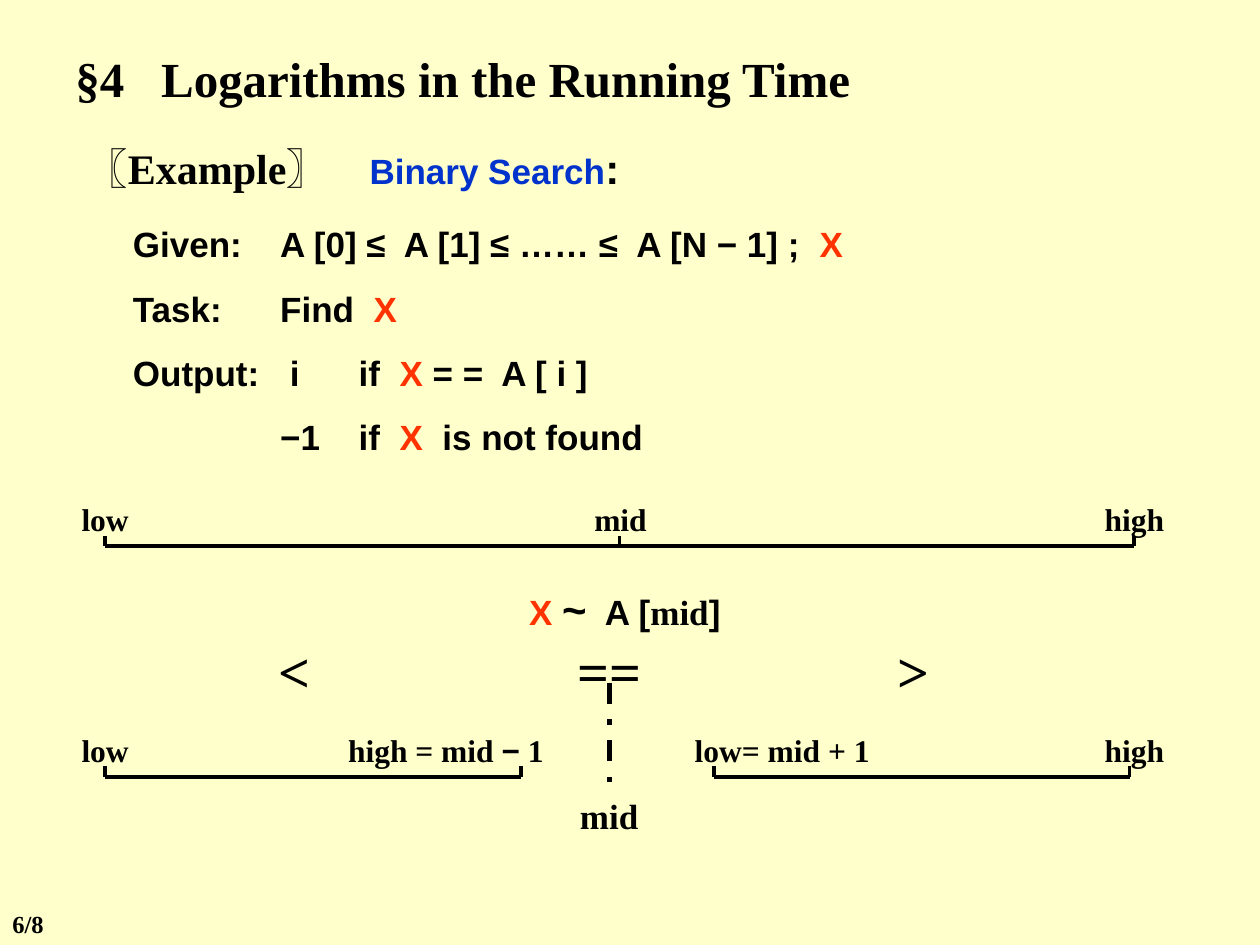
import pptx
import pptx.util
import pptx.dml.color
import pptx.enum.dml
import pptx.enum.shapes
import pptx.enum.text
import pptx.oxml.ns
from lxml import etree

Cm, Pt = pptx.util.Cm, pptx.util.Pt
HUE = {"paper": "FFFFCC", "ink": "000000", "blue": "0033CC", "red": "FF3300"}
SERIF, SANS = "Times New Roman", "Arial"
TICK, RISE = 0.21, 1.06  # tick height, label offset above a scale


def sans(text, hue="ink", size=20):
    """Describe a run in the sans font."""
    return text, size, SANS, hue


def serif(text, size=18):
    """Describe a black run in the serif font."""
    return text, size, SERIF, "ink"


X = sans("X", "red")
STOPS = [0.95, 3.92, 5.5]
# Each paragraph: tab stops in cm, runs
TITLE = [([1.73], [serif("§4\tLogarithms in the Running Time", 28)])]
BODY = [
    ([5.72], [serif("〖Example〗\t", 24), sans("Binary Search", "blue"),
              sans(":", size=24)]),
    (STOPS, [sans("\t", size=24),
             sans("Given:\tA [0] ≤  A [1] ≤ …… ≤  A [N − 1] ;  "), X]),
    (STOPS, [sans("\tTask:\tFind  "), X]),
    (STOPS, [sans("\tOutput:\t i\tif  "), X, sans(" = =  A [ i ]")]),
    (STOPS, [sans("\t\t−1\tif  "), X, sans("  is not found")]),
]
# Left-aligned text: left, top, width, height, paragraphs
BLOCKS = [
    (1.27, 0.85, 18.2, 1.44, TITLE),
    (1.48, 2.75, 16.7, 6.6, BODY),
    (0, 18.2, 1.48, 0.85, [([], [serif("6/8", 14)])]),
]
# Centred text: left, top, width, height, runs
LABELS = [
    (7.83, 11.64, 9.53, 1.27, [sans("X ", "red"), sans("~", size=24),
                               sans("  A ["), serif("mid", 20), sans("]")]),
    (4.66, 12.7, 2.54, 1.63, [serif("<", 32)]),
    (11.01, 12.7, 2.54, 1.63, [serif("==", 32)]),
    (17.15, 12.7, 2.54, 1.63, [serif(">", 32)]),
    (11.01, 15.88, 2.54, 1.11, [serif("mid", 20)]),
]
LOW = (1.27, 1.7, [serif("low")])
HIGH = (22.02, 1.7, [serif("high")])
# Each scale: y, tick positions, labels (left, width, runs)
SCALES = [
    (11.01, [2.12, 12.49, 22.86],
     [LOW, HIGH, (11.56, 1.9, [serif("mid")])]),
    (15.66, [2.12, 10.5],
     [LOW, (6.35, 5.28, [serif("high = mid "), sans("−", size=18),
                         serif(" 1")])]),
    (15.66, [14.39, 22.77],
     [HIGH, (13.13, 5.28, [serif("low= mid + 1")])]),
]


def paint(hue):
    """Turn a colour name into an RGB value."""
    return pptx.dml.color.RGBColor.from_string(HUE[hue])


def set_tabs(para, stops):
    """Give a paragraph left tab stops, in cm."""
    tag = pptx.oxml.ns.qn
    tabs = etree.SubElement(para._p.get_or_add_pPr(), tag("a:tabLst"))
    for stop in stops:
        etree.SubElement(tabs, tag("a:tab"), pos=str(int(Cm(stop))), algn="l")


def add_text(parent, left, top, width, height, paras, center=False):
    """Add a text box run by run."""
    box = parent.add_textbox(Cm(left), Cm(top), Cm(width), Cm(height))
    frame = box.text_frame
    frame.word_wrap = True
    frame.margin_left = frame.margin_right = Cm(0 if center else 0.25)
    frame.margin_top = frame.margin_bottom = Cm(0.13)
    for i, (stops, runs) in enumerate(paras):
        para = frame.add_paragraph() if i else frame.paragraphs[0]
        if center:
            para.alignment = pptx.enum.text.PP_ALIGN.CENTER
        if i:
            para.space_before = Pt(12.5)
        if stops:
            set_tabs(para, stops)
        for text, size, face, hue in runs:
            run = para.add_run()
            run.text = text
            run.font.size, run.font.name = Pt(size), face
            run.font.bold = True
            run.font.color.rgb = paint(hue)


def add_line(parent, x1, y1, x2, y2, width=2):
    """Add a plain black line and return it."""
    line = parent.add_connector(pptx.enum.shapes.MSO_CONNECTOR.STRAIGHT,
                                Cm(x1), Cm(y1), Cm(x2), Cm(y2))
    line.line.color.rgb = paint("ink")
    line.line.width = Pt(width)
    etree.SubElement(line._element.spPr, pptx.oxml.ns.qn("a:effectLst"))
    return line


def add_scale(parent, y, ticks, labels):
    """Add a grouped scale with its ticks and labels."""
    group = parent.add_group_shape().shapes
    add_line(group, ticks[0], y, ticks[-1], y)
    for x in ticks:
        add_line(group, x, y, x, y - TICK)
    for left, width, runs in labels:
        add_text(group, left, y - RISE, width, 1.02, [([], runs)], True)


deck = pptx.Presentation()
deck.slide_width, deck.slide_height = Cm(25.4), Cm(19.05)
slide = deck.slides.add_slide(deck.slide_layouts[6])
slide.background.fill.solid()
slide.background.fill.fore_color.rgb = paint("paper")

for block in BLOCKS:
    add_text(slide.shapes, *block)
for scale in SCALES:
    add_scale(slide.shapes, *scale)
for *spot, runs in LABELS:
    add_text(slide.shapes, *spot, [([], runs)], True)
drop = add_line(slide.shapes, 12.28, 13.76, 12.28, 15.88, 3)
drop.line.dash_style = pptx.enum.dml.MSO_LINE.DASH_DOT

deck.save("out.pptx")
